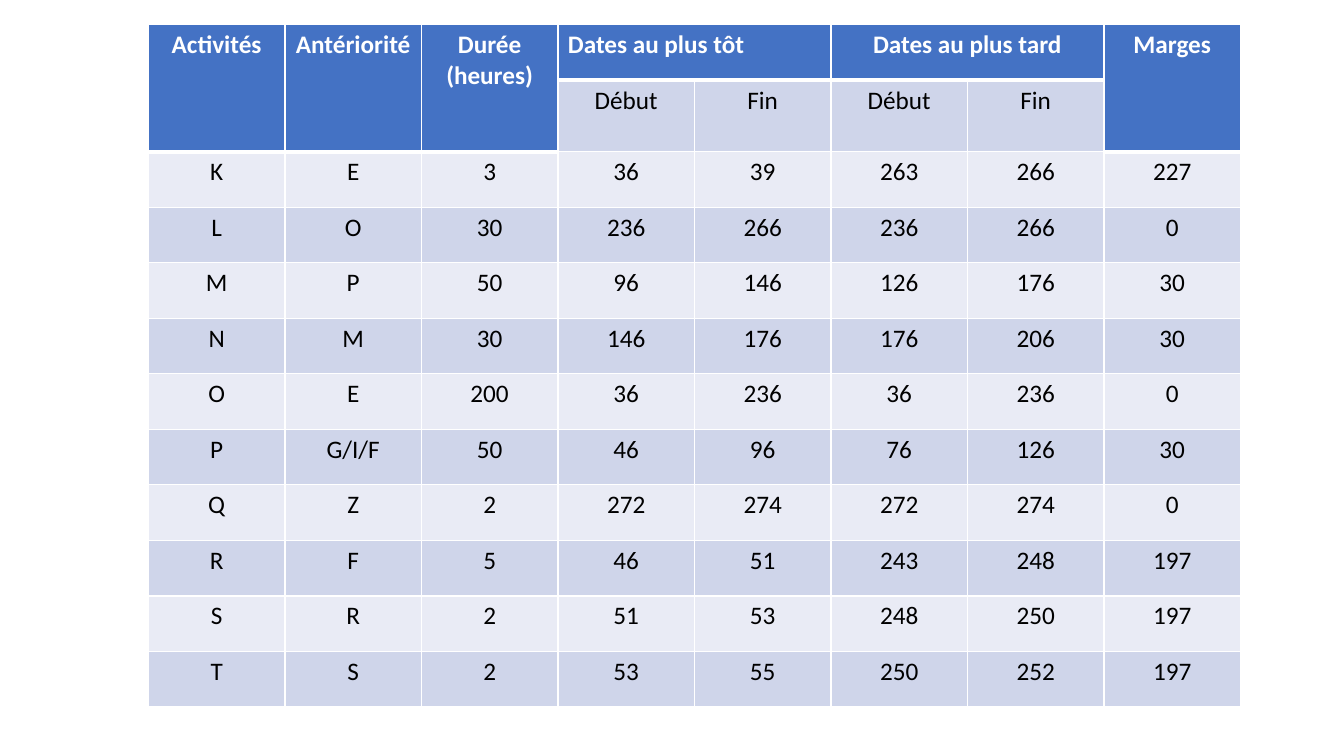
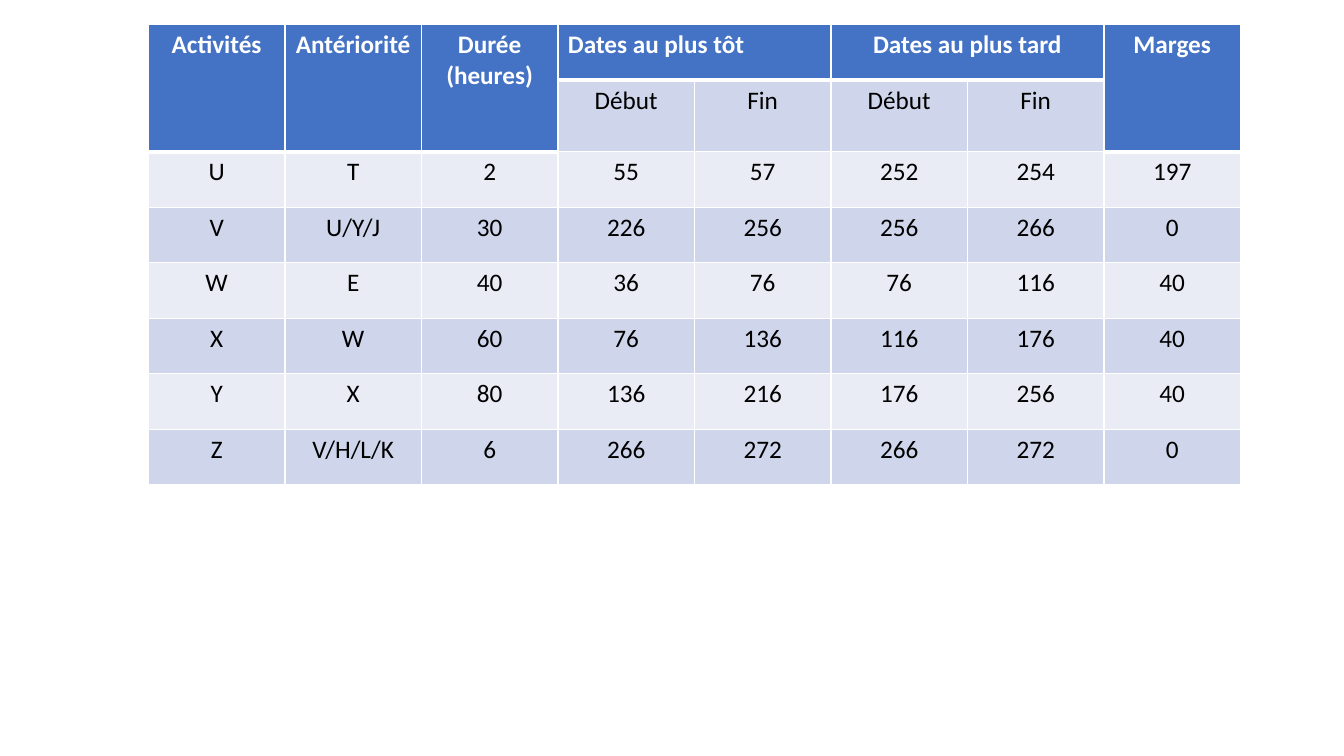
from lxml import etree
from pptx import Presentation, util as u
from pptx.dml.color import RGBColor
from pptx.enum import text
from pptx.oxml.ns import qn

# Shared look
HEADER_BLUE = RGBColor(0x44, 0x72, 0xC4)
BAND_DARK = RGBColor(0xCF, 0xD5, 0xEA)
BAND_LIGHT = RGBColor(0xE9, 0xEB, 0xF5)
WHITE = RGBColor(0xFF, 0xFF, 0xFF)
BLACK = RGBColor(0x00, 0x00, 0x00)
FONT, TEXT_SIZE = "Calibri", u.Pt(18)
THIN, THICK = u.Pt(1), u.Pt(3)

# Table grid
TABLE_LEFT, TABLE_TOP = u.Cm(3.74), u.Cm(0.62)
COLUMN_WIDTH, ROW_HEIGHT = u.Cm(3.44), u.Cm(1.4)
COLUMN_COUNT, HEADER_ROWS = 8, 2

CENTER, LEFT = text.PP_ALIGN.CENTER, text.PP_ALIGN.LEFT
# Heading, column, rows spanned, columns spanned, alignment
HEADINGS = [
    ("Activités", 0, 2, 1, CENTER),
    ("Antériorité", 1, 2, 1, CENTER),
    ("Durée\n(heures)", 2, 2, 1, CENTER),
    ("Dates au plus tôt", 3, 1, 2, LEFT),
    ("Dates au plus tard", 5, 1, 2, CENTER),
    ("Marges", 7, 2, 1, CENTER),
]
SUBHEADINGS = {3: "Début", 4: "Fin", 5: "Début", 6: "Fin"}

# Activity, predecessors, duration, earliest start and end, latest start and end, slack
ACTIVITIES_K_TO_T = [
    ("K", "E", 3, 36, 39, 263, 266, 227),
    ("L", "O", 30, 236, 266, 236, 266, 0),
    ("M", "P", 50, 96, 146, 126, 176, 30),
    ("N", "M", 30, 146, 176, 176, 206, 30),
    ("O", "E", 200, 36, 236, 36, 236, 0),
    ("P", "G/I/F", 50, 46, 96, 76, 126, 30),
    ("Q", "Z", 2, 272, 274, 272, 274, 0),
    ("R", "F", 5, 46, 51, 243, 248, 197),
    ("S", "R", 2, 51, 53, 248, 250, 197),
    ("T", "S", 2, 53, 55, 250, 252, 197),
]
ACTIVITIES_U_TO_Z = [
    ("U", "T", 2, 55, 57, 252, 254, 197),
    ("V", "U/Y/J", 30, 226, 256, 256, 266, 0),
    ("W", "E", 40, 36, 76, 76, 116, 40),
    ("X", "W", 60, 76, 136, 116, 176, 40),
    ("Y", "X", 80, 136, 216, 176, 256, 40),
    ("Z", "V/H/L/K", 6, 266, 272, 266, 272, 0),
]


def is_header(row, column):
    return row == 0 or (row == 1 and column not in SUBHEADINGS)


def set_borders(cell, top, bottom):
    """Draw white cell borders; they precede the fill in the cell properties."""
    properties = cell._tc.get_or_add_tcPr()
    sides = [("lnL", THIN), ("lnR", THIN), ("lnT", top), ("lnB", bottom)]
    for position, (side, width) in enumerate(sides):
        border = etree.Element(qn(f"a:{side}"), w=str(int(width)))
        fill = etree.SubElement(border, qn("a:solidFill"))
        etree.SubElement(fill, qn("a:srgbClr"), val=str(WHITE))
        properties.insert(position, border)


def style_cell(cell, row, column):
    header = is_header(row, column)
    cell.fill.solid()
    if header:
        cell.fill.fore_color.rgb = HEADER_BLUE
    else:
        cell.fill.fore_color.rgb = BAND_DARK if row % 2 else BAND_LIGHT
    below_header = row > 0 and is_header(row - 1, column)
    set_borders(cell, THICK if below_header else THIN, THICK if header else THIN)


def write_cell(cell, content, header=False, alignment=CENTER):
    frame = cell.text_frame
    for index, line in enumerate(str(content).split("\n")):
        paragraph = frame.add_paragraph() if index else frame.paragraphs[0]
        paragraph.alignment = alignment
        run = paragraph.add_run()
        run.text = line
        run.font.name, run.font.size = FONT, TEXT_SIZE
        run.font.bold = header
        run.font.color.rgb = WHITE if header else BLACK


def write_header(schedule):
    for heading, column, row_span, column_span, alignment in HEADINGS:
        cell = schedule.cell(0, column)
        cell.merge(schedule.cell(row_span - 1, column + column_span - 1))
        write_cell(cell, heading, header=True, alignment=alignment)
    for column, subheading in SUBHEADINGS.items():
        write_cell(schedule.cell(1, column), subheading)


def add_schedule(slide, left, top, activities):
    row_count = HEADER_ROWS + len(activities)
    schedule = slide.shapes.add_table(
        row_count, COLUMN_COUNT, left, top,
        COLUMN_WIDTH * COLUMN_COUNT, ROW_HEIGHT * row_count).table

    # Grid, fills and borders
    for column in schedule.columns:
        column.width = COLUMN_WIDTH
    for row_index, row in enumerate(schedule.rows):
        row.height = ROW_HEIGHT
        for column_index, cell in enumerate(row.cells):
            style_cell(cell, row_index, column_index)

    # Headings, then one row per activity
    write_header(schedule)
    for row_index, activity in enumerate(activities, HEADER_ROWS):
        for column_index, value in enumerate(activity):
            write_cell(schedule.cell(row_index, column_index), value)


def main():
    presentation = Presentation()
    presentation.slide_width, presentation.slide_height = u.Cm(33.87), u.Cm(19.05)
    blank_layout = presentation.slide_layouts[6]
    for activities in (ACTIVITIES_K_TO_T, ACTIVITIES_U_TO_Z):
        slide = presentation.slides.add_slide(blank_layout)
        add_schedule(slide, TABLE_LEFT, TABLE_TOP, activities)
    presentation.save("out.pptx")


if __name__ == "__main__":
    main()
